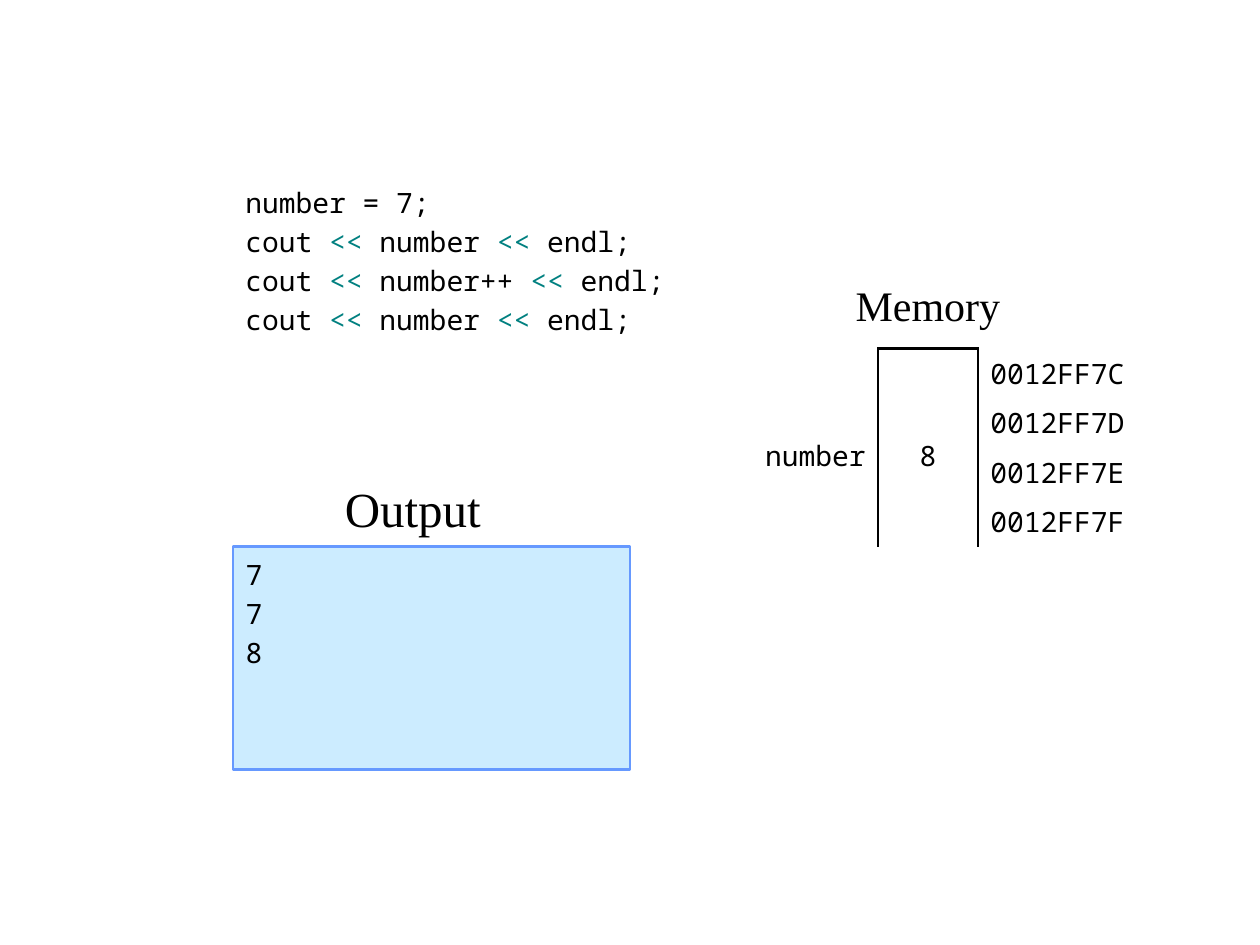
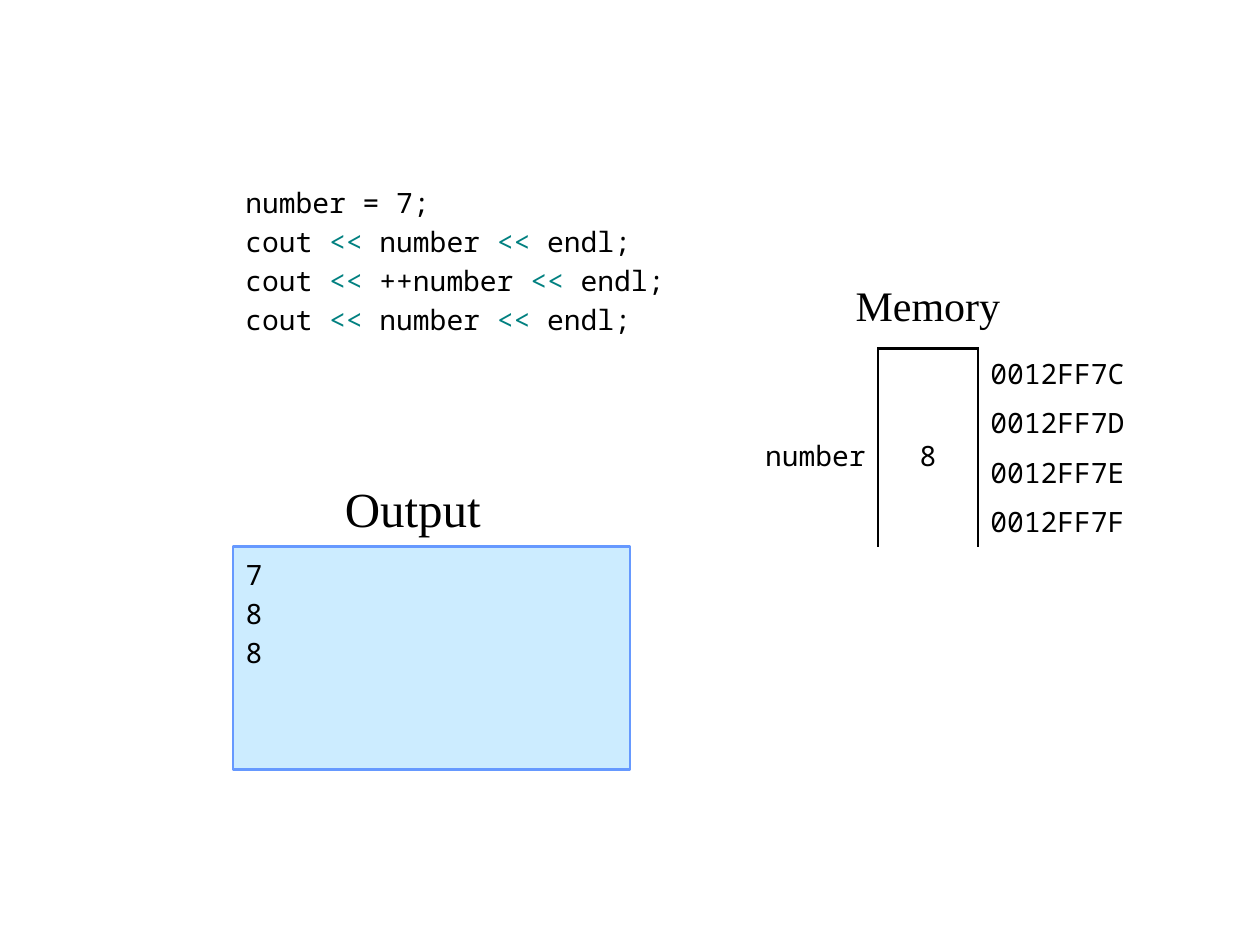
from lxml.etree import SubElement
from pptx import Presentation
from pptx.dml.color import RGBColor
from pptx.enum.shapes import MSO_SHAPE
from pptx.enum.text import MSO_ANCHOR, PP_ALIGN
from pptx.oxml.ns import qn
from pptx.util import Pt

BLACK = RGBColor(0x00, 0x00, 0x00)
TEAL = RGBColor(0x00, 0x80, 0x80)
PALE = RGBColor(0xCC, 0xEC, 0xFF)
BLUE = RGBColor(0x66, 0x99, 0xFF)
MONO = {"name": "Noto Sans Mono", "size": Pt(16)}
SERIF = {"name": "Times New Roman"}
LINES = {"line_spacing": Pt(22.3), "alignment": PP_ALIGN.LEFT}
FRAME = {"word_wrap": True, "vertical_anchor": MSO_ANCHOR.TOP,
         "margin_top": Pt(3)}
LEFT = 133.2
COLS = (85, 56.9, 99.4)
ROW = 28.3
CELLS = ("0012FF7C", "0012FF7D", "0012FF7E", "0012FF7F")
STATES = (("number++", "778"), ("++number", "788"))


def apply(item, form):
    """Set each attribute named in a format dict."""
    for key, value in form.items():
        setattr(item, key, value)


def add_run(para, text, font, color=BLACK):
    """Append a run in the given font and colour."""
    run = para.add_run()
    run.text = text
    apply(run.font, font)
    run.font.color.rgb = color


def add_lines(frame, lines):
    """Fill a frame with code lines, with the stream operators in teal."""
    apply(frame, FRAME)
    for row, line in enumerate(lines):
        para = frame.paragraphs[0] if row == 0 else frame.add_paragraph()
        apply(para, LINES)
        for spot, part in enumerate(line.split("<<")):
            if spot:
                add_run(para, "<<", MONO, TEAL)
            add_run(para, part, MONO)


def add_box(slide, left, top, width, height):
    """Add a text box and return its frame."""
    box = slide.shapes.add_textbox(Pt(left), Pt(top), Pt(width), Pt(height))
    return box.text_frame


def add_head(slide, text, left, top, size, align):
    """Add a serif heading on one line."""
    frame = add_box(slide, left, top, 113, 42.5)
    frame.word_wrap = False
    para = frame.paragraphs[0]
    para.alignment = align
    add_run(para, text, {**SERIF, "size": Pt(size)})


def add_panel(slide, lines):
    """Add the blue panel that holds the program output."""
    panel = slide.shapes.add_shape(
        MSO_SHAPE.RECTANGLE, Pt(LEFT), Pt(312.5), Pt(226.8), Pt(127.4))
    panel.shadow.inherit = False
    panel.fill.solid()
    panel.fill.fore_color.rgb = PALE
    panel.line.color.rgb = BLUE
    panel.line.width = Pt(1.5)
    add_lines(panel.text_frame, lines)


def set_edges(cell, sides):
    """Draw black edges on the named sides and clear the others."""
    props = cell._tc.get_or_add_tcPr()
    for spot, side in enumerate("LRTB"):
        edge = props.makeelement(qn(f"a:ln{side}"), {"w": str(Pt(1.5))})
        if side in sides:
            fill = SubElement(edge, qn("a:solidFill"))
            SubElement(fill, qn("a:srgbClr"), val=str(BLACK))
        else:
            SubElement(edge, qn("a:noFill"))
        props.insert(spot, edge)


def fill_cell(cell, text, side, form):
    """Write a cell with the given side margin and paragraph format."""
    apply(cell, {"margin_left": Pt(side), "margin_right": Pt(side)})
    para = cell.text_frame.paragraphs[0]
    apply(para, form)
    add_run(para, text, MONO)


def add_memory(slide):
    """Add the table of one variable, its value and its addresses."""
    table = slide.shapes.add_table(
        len(CELLS), len(COLS), Pt(416.9), Pt(199.2),
        Pt(sum(COLS)), Pt(ROW * len(CELLS))).table
    apply(table, {"first_row": False, "horz_banding": False})
    for col, width in zip(table.columns, COLS):
        col.width = Pt(width)
    for row in table.rows:
        row.height = Pt(ROW)
    for cell in table.iter_cells():
        cell.fill.background()
        apply(cell, {"margin_top": 0, "margin_bottom": 0,
                     "vertical_anchor": MSO_ANCHOR.MIDDLE})
    last = len(CELLS) - 1
    for row, text in enumerate(CELLS):
        ends = ("T" if row == 0 else "") + ("B" if row == last else "")
        for col, sides in enumerate(("R", "LR" + ends, "L")):
            set_edges(table.cell(row, col), sides)
        fill_cell(table.cell(row, 2), text, 7.2, {"alignment": PP_ALIGN.LEFT})
    spans = (("number", 7.2, PP_ALIGN.RIGHT), ("8", 0, PP_ALIGN.CENTER))
    for col, (text, side, align) in enumerate(spans):
        cell = table.cell(0, col)
        cell.merge(table.cell(last, col))
        fill_cell(cell, text, side, {"alignment": align, "line_spacing": 1.4})


def add_state(deck, step, output):
    """Add a slide with the code, the memory and the output."""
    slide = deck.slides.add_slide(deck.slide_layouts[6])
    code = ["number = 7;"]
    code += [f"cout << {term} << endl;" for term in ("number", step, "number")]
    add_lines(add_box(slide, LEFT, 100, 283.7, 99.4), code)
    add_memory(slide)
    add_head(slide, "Memory", 473.8, 156.2, 24, PP_ALIGN.CENTER)
    add_head(slide, "Output", 190, 270, 28, PP_ALIGN.LEFT)
    add_panel(slide, output)


def main():
    """Build the slides and save the deck."""
    deck = Presentation()
    apply(deck, {"slide_width": Pt(720), "slide_height": Pt(540)})
    for step, output in STATES:
        add_state(deck, step, output)
    deck.save("out.pptx")


if __name__ == "__main__":
    main()
